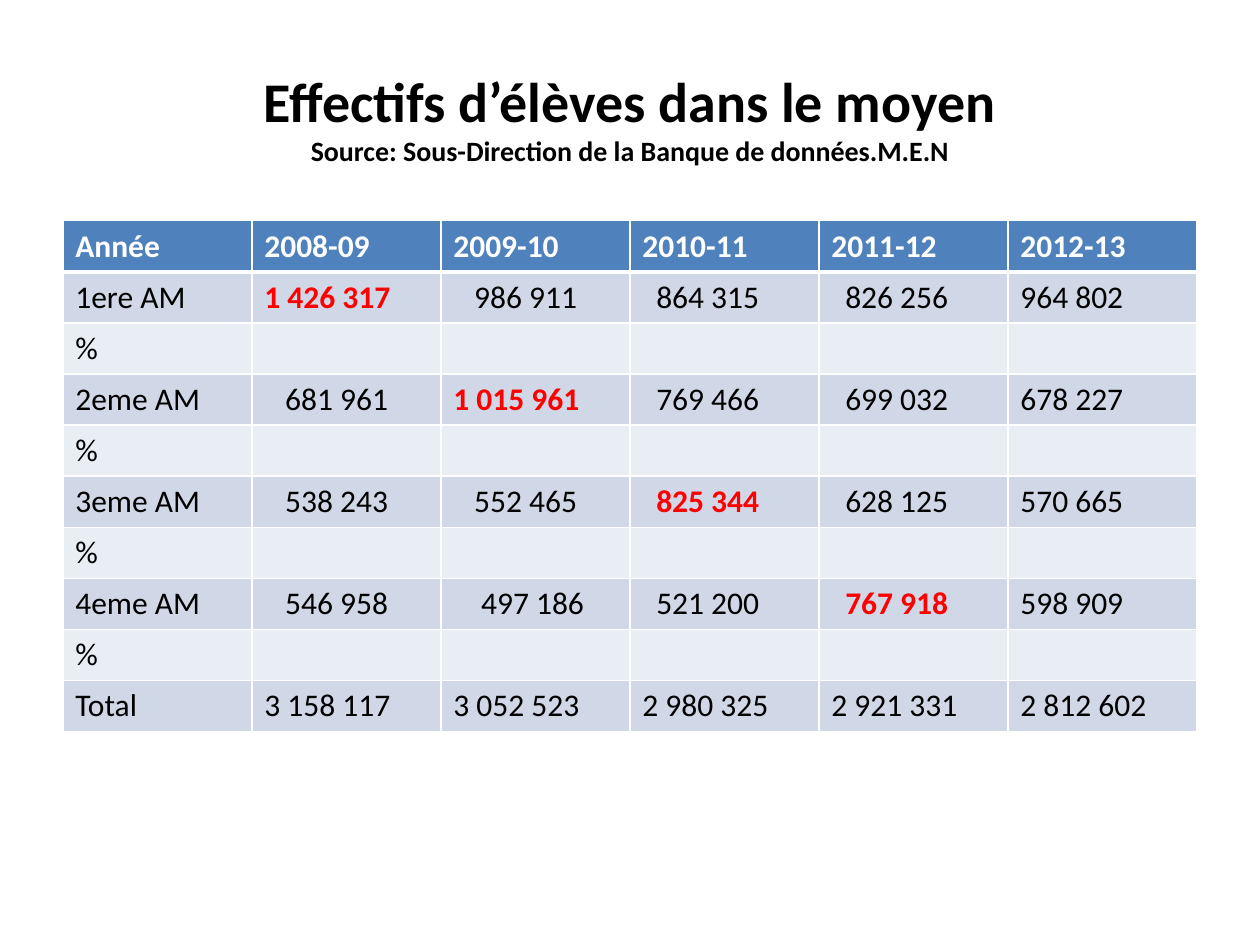
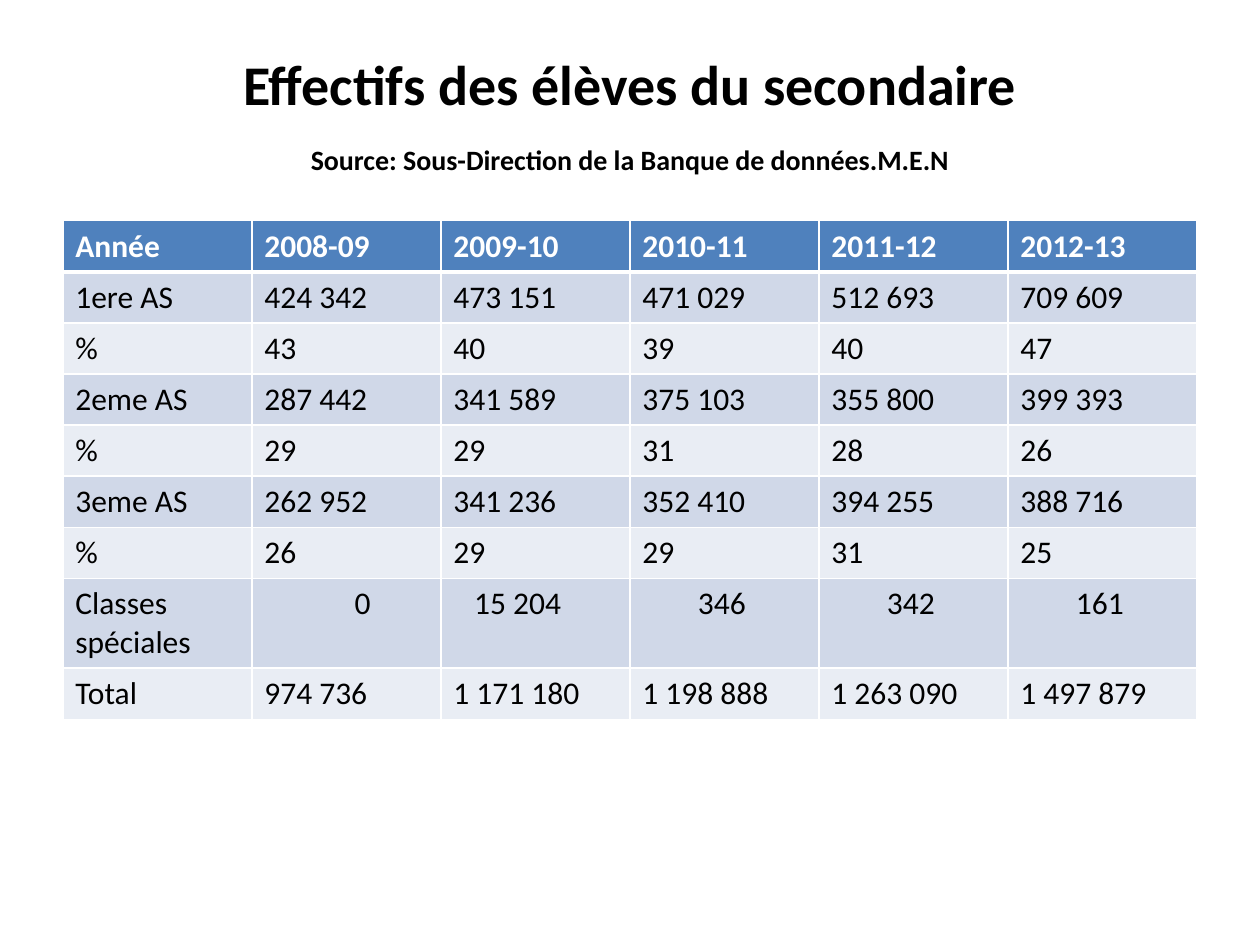
"""Build two slides of pupil numbers by school year."""
from dataclasses import dataclass

from lxml import etree
from pptx import Presentation
from pptx import table as tb
from pptx import util as u
from pptx.dml import color
from pptx.enum import text
from pptx.oxml import ns
from pptx.util import Cm


@dataclass(frozen=True)
class Theme:
    font: str = "Calibri"
    ink: str = "000000"
    white: str = "FFFFFF"
    peak: str = "FF0000"
    header: str = "4F81BD"
    bands: tuple[str, str] = ("D0D8E8", "E9EDF4")
    title_size: int = 32
    source_size: int = 16
    cell_size: int = 18
    rule: int = 1
    header_rule: int = 3


@dataclass(frozen=True)
class Row:
    label: str
    values: tuple[str, ...] = ("",) * 5
    indents: tuple[int, ...] = (0,) * 5
    peak: int | None = None
    height: float = 1.03


@dataclass(frozen=True)
class Enrolment:
    title: str
    rows: tuple[Row, ...]
    source_gap: float = 0
    title_lift: float = 0


THEME = Theme()
SOURCE = "Source: Sous-Direction de la Banque de données.M.E.N"
YEARS = Row("Année", ("2008-09", "2009-10", "2010-11", "2011-12", "2012-13"))
LEFT, WIDTH = 1.27, 22.86
TITLE_TOP, TITLE_HEIGHT = 0.76, 3.18
TABLE_TOP = 4.45
COLUMN_WIDTH = 3.81
CELL_MARGIN, INDENT_STEP = 0.25, 0.14
TITLE_MARGIN = 0.13

MIDDLE = Enrolment("Effectifs d’élèves dans le moyen", (
    Row("1ere AM", ("1 426 317", "986 911", "864 315", "826 256", "964 802"),
        (0, 3, 2, 2, 0), peak=0),
    Row("%"),
    Row("2eme AM", ("681 961", "1 015 961", "769 466", "699 032", "678 227"),
        (3, 0, 2, 2, 0), peak=1),
    Row("%"),
    Row("3eme AM", ("538 243", "552 465", "825 344", "628 125", "570 665"),
        (3, 3, 2, 2, 0), peak=2),
    Row("%"),
    Row("4eme AM", ("546 958", "497 186", "521 200", "767 918", "598 909"),
        (3, 4, 2, 2, 0), peak=3),
    Row("%"),
    Row("Total", ("3 158 117", "3 052 523", "2 980 325", "2 921 331", "2 812 602")),
))

SECONDARY = Enrolment("Effectifs des élèves du secondaire", (
    Row("1ere AS", ("424 342", "473 151", "471 029", "512 693", "709 609")),
    Row("%", ("43", "40", "39", "40", "47")),
    Row("2eme AS", ("287 442", "341 589", "375 103", "355 800", "399 393")),
    Row("%", ("29", "29", "31", "28", "26")),
    Row("3eme AS", ("262 952", "341 236", "352 410", "394 255", "388 716")),
    Row("%", ("26", "29", "29", "31", "25")),
    Row("Classes spéciales", ("0", "15 204", "346", "342", "161"),
        (13, 3, 8, 8, 8), height=1.81),
    Row("Total", ("974 736", "1 171 180", "1 198 888", "1 263 090", "1 497 879")),
), source_gap=0.53, title_lift=0.15)


def format_runs(p, size: int, ink: str, bold: bool) -> None:
    for r in p.runs:
        r.font.name = THEME.font
        r.font.size = u.Pt(size)
        r.font.bold = bold
        r.font.color.rgb = color.RGBColor.from_string(ink)


def add_title(s, page: Enrolment) -> None:
    sp = s.shapes.title
    sp.left, sp.top = Cm(LEFT), Cm(TITLE_TOP)
    sp.width, sp.height = Cm(WIDTH), Cm(TITLE_HEIGHT)
    tf = sp.text_frame
    tf.text = f"{page.title}\n{SOURCE}"
    tf.vertical_anchor = text.MSO_ANCHOR.MIDDLE
    tf.margin_bottom = Cm(TITLE_MARGIN + page.title_lift)
    for p, size in zip(tf.paragraphs, (THEME.title_size, THEME.source_size)):
        p.alignment = text.PP_ALIGN.CENTER
        format_runs(p, size, THEME.ink, True)
    tf.paragraphs[1].space_before = Cm(page.source_gap)


def add_borders(cell: tb._Cell, top: int, bottom: int) -> None:
    props = cell._tc.get_or_add_tcPr()
    widths = {"a:lnL": THEME.rule, "a:lnR": THEME.rule, "a:lnT": top, "a:lnB": bottom}
    for side, width in widths.items():
        line = etree.SubElement(props, ns.qn(side), w=str(u.Pt(width)))
        fill = etree.SubElement(line, ns.qn("a:solidFill"))
        etree.SubElement(fill, ns.qn("a:srgbClr"), val=THEME.white)


def fill_row(table: tb.Table, index: int, row: Row) -> None:
    is_header = index == 0
    fill = THEME.header if is_header else THEME.bands[(index - 1) % 2]
    top = THEME.header_rule if index == 1 else THEME.rule
    bottom = THEME.header_rule if is_header else THEME.rule
    table.rows[index].height = Cm(row.height)
    cells = zip((row.label, *row.values), (0, *row.indents))
    for column, (label, indent) in enumerate(cells):
        cell = table.cell(index, column)
        is_peak = row.peak is not None and column == row.peak + 1
        ink = THEME.white if is_header else THEME.peak if is_peak else THEME.ink
        add_borders(cell, top, bottom)
        cell.fill.solid()
        cell.fill.fore_color.rgb = color.RGBColor.from_string(fill)
        cell.margin_left = Cm(CELL_MARGIN + indent * INDENT_STEP)
        cell.text_frame.text = label
        format_runs(cell.text_frame.paragraphs[0], THEME.cell_size, ink,
                    is_header or is_peak)


def add_enrolment_table(s, page: Enrolment) -> None:
    rows = (YEARS, *page.rows)
    columns = len(YEARS.values) + 1
    height = sum(row.height for row in rows)
    table = s.shapes.add_table(len(rows), columns, Cm(LEFT), Cm(TABLE_TOP),
                               Cm(WIDTH), Cm(height)).table
    for column in table.columns:
        column.width = Cm(COLUMN_WIDTH)
    for index, row in enumerate(rows):
        fill_row(table, index, row)


def main() -> None:
    prs = Presentation()
    prs.slide_width, prs.slide_height = Cm(25.4), Cm(19.05)
    for page in (MIDDLE, SECONDARY):
        s = prs.slides.add_slide(prs.slide_layouts.get_by_name("Title Only"))
        add_title(s, page)
        add_enrolment_table(s, page)
    prs.save("out.pptx")


if __name__ == "__main__":
    main()
